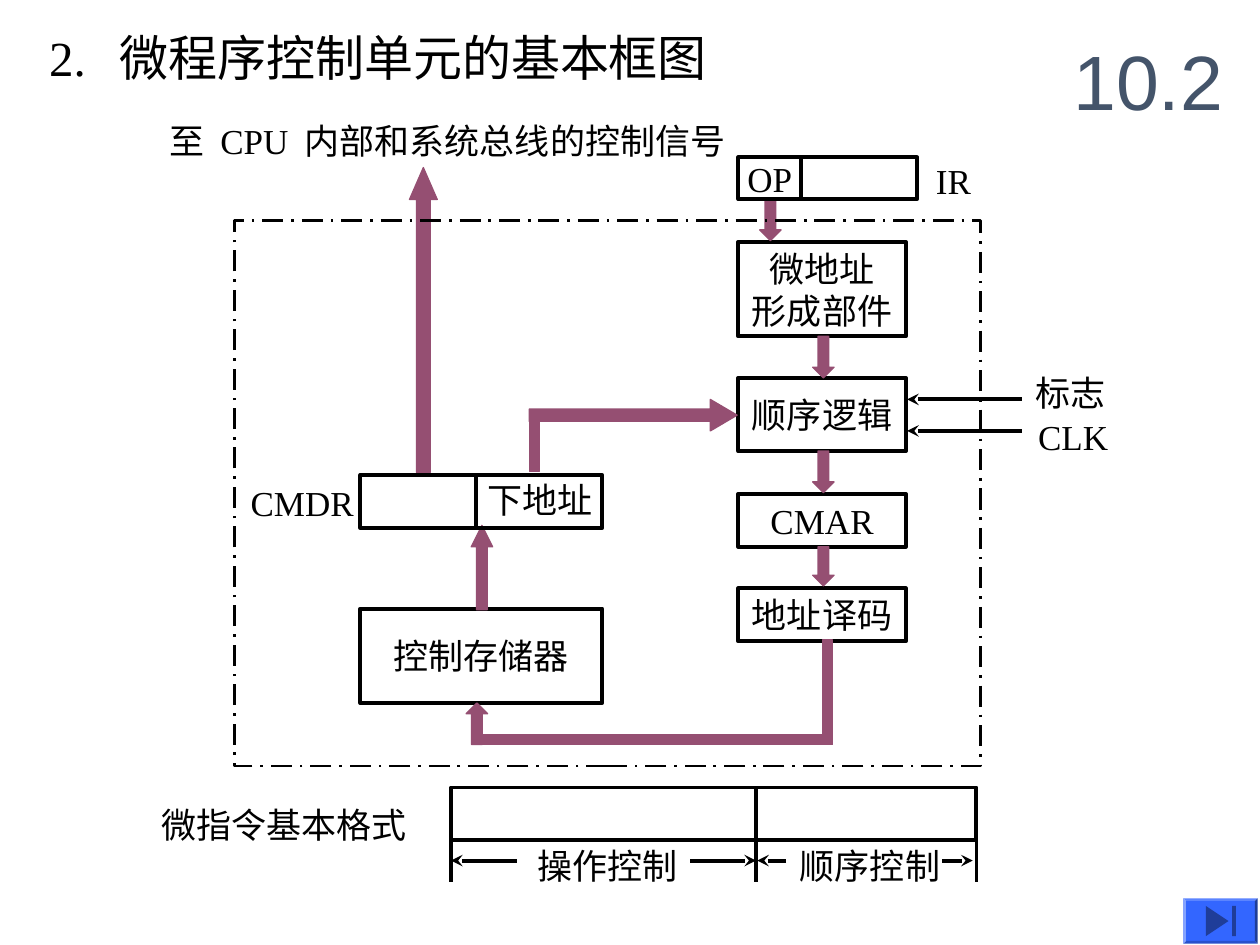
from lxml import etree
from pptx import Presentation
from pptx import util as u
from pptx.dml.color import RGBColor
from pptx.enum import dml, shapes, text
from pptx.oxml.ns import qn

BLACK, PLUM, SLATE = "000000", "954F72", "44546A"
BUTTON_BLUE, ICON_BLUE = "3366FF", "1F3D99"
SERIF = "Times New Roman"
RECT = shapes.MSO_SHAPE.RECTANGLE
DOWN, UP, RIGHT = (shapes.MSO_SHAPE.DOWN_ARROW, shapes.MSO_SHAPE.UP_ARROW,
                   shapes.MSO_SHAPE.RIGHT_ARROW)
LEFT_ALIGN, CENTER = text.PP_ALIGN.LEFT, text.PP_ALIGN.CENTER
TOP, MIDDLE = text.MSO_ANCHOR.TOP, text.MSO_ANCHOR.MIDDLE


def color(hex_string):
    return RGBColor.from_string(hex_string)


def inches(*lengths):
    return [u.Inches(length) for length in lengths]


def write(shape, lines, size=20, font=SERIF, ink=BLACK, align=LEFT_ALIGN,
          anchor=TOP, wrap=False, tabs=()):
    """Fill a shape with one paragraph per line; tabs are stops in inches."""
    frame = shape.text_frame
    frame.auto_size = text.MSO_AUTO_SIZE.NONE
    frame.word_wrap = wrap
    frame.vertical_anchor = anchor
    for index, line in enumerate(lines):
        paragraph = frame.add_paragraph() if index else frame.paragraphs[0]
        paragraph.alignment = align
        if tabs:
            stops = etree.SubElement(paragraph._p.get_or_add_pPr(), qn("a:tabLst"))
            for stop in tabs:
                etree.SubElement(stops, qn("a:tab"), pos=str(u.Inches(stop)), algn="l")
        run = paragraph.add_run()
        run.text = line
        run.font.size = u.Pt(size)
        run.font.name = font
        run.font.color.rgb = color(ink)


def add_title(slide, content, at, tabs):
    title = slide.shapes.title
    title.left, title.top, title.width, title.height = inches(*at)
    write(title, [content], size=28, tabs=tabs)


def add_label(slide, content, at, **style):
    write(slide.shapes.add_textbox(*inches(*at)), [content], **style)


def add_box(slide, at, *lines, line_width=2.25, dash=None):
    """Draw an unfilled outlined box with optional centred lines of text."""
    box = slide.shapes.add_shape(RECT, *inches(*at))
    box.shadow.inherit = False
    box.fill.background()
    box.line.color.rgb = color(BLACK)
    box.line.width = u.Pt(line_width)
    if dash:
        box.line.dash_style = dash
    write(box, lines, align=CENTER, anchor=MIDDLE)


def add_solid(slide, preset, at, adjustments=(), fill=PLUM, line=PLUM):
    solid = slide.shapes.add_shape(preset, *inches(*at))
    solid.shadow.inherit = False
    for index, value in enumerate(adjustments):
        solid.adjustments[index] = value
    solid.fill.solid()
    solid.fill.fore_color.rgb = color(fill)
    if line:
        solid.line.color.rgb = color(line)
        solid.line.width = u.Pt(0.75)
    else:
        solid.line.fill.background()


def add_line(slide, start, end, arrow=False):
    connector = slide.shapes.add_connector(
        shapes.MSO_CONNECTOR.STRAIGHT, *inches(*start, *end))
    connector.line.color.rgb = color(BLACK)
    connector.line.width = u.Pt(2.25)
    if arrow:
        etree.SubElement(connector.line._get_or_add_ln(), qn("a:tailEnd"), type="stealth")
    etree.SubElement(connector._element.spPr, qn("a:effectLst"))


def add_end_button(slide):
    add_solid(slide, shapes.MSO_SHAPE.BEVEL, (9.39, 7.13, 0.59, 0.36), [0.06],
              BUTTON_BLUE, None)
    builder = slide.shapes.build_freeform(*inches(9.57, 7.19))
    builder.add_line_segments([inches(9.75, 7.31), inches(9.57, 7.43)], close=True)
    triangle = builder.convert_to_shape()
    triangle.shadow.inherit = False
    triangle.fill.solid()
    triangle.fill.fore_color.rgb = color(ICON_BLUE)
    triangle.line.fill.background()
    add_solid(slide, RECT, (9.78, 7.19, 0.03, 0.24), fill=ICON_BLUE, line=None)


def add_address_path(slide):
    left, width = 5.86, 1.33
    for top, height, lines in [
        (1.92, 0.75, ["微地址", "形成部件"]),
        (3, 0.58, ["顺序逻辑"]),
        (3.92, 0.42, ["CMAR"]),
        (4.67, 0.42, ["地址译码"]),
    ]:
        add_box(slide, (left, top, width, height), *lines)
    for x, top, height in [(6.03, 1.58, 0.33), (6.45, 2.67, 0.33),
                           (6.45, 3.58, 0.33), (6.45, 4.34, 0.31)]:
        add_solid(slide, DOWN, (x, top, 0.17, height), [0.5, 0.5])


def add_control_store(slide):
    add_box(slide, (2.86, 4.83, 1.92, 0.75), "控制存储器")
    add_solid(slide, UP, (3.74, 4.17, 0.17, 0.67), [0.5, 1])
    add_solid(slide, RIGHT, (4.2, 3.17, 1.65, 0.25), [0.39, 0.85])
    add_solid(slide, RECT, (4.2, 3.26, 0.08, 0.48))
    add_solid(slide, RECT, (6.53, 5.08, 0.08, 0.83))
    add_solid(slide, UP, (3.7, 5.58, 0.17, 0.33), [0.5, 0.5])
    add_solid(slide, RECT, (3.78, 5.83, 2.75, 0.08))
    add_solid(slide, UP, (3.25, 1.33, 0.22, 2.42), [0.5, 1.15])


def add_registers(slide):
    add_label(slide, "下地址", (3.77, 3.75, 1.03, 0.44))
    add_line(slide, (3.78, 3.77), (3.78, 4.18))
    add_box(slide, (2.86, 3.77, 1.92, 0.42))
    add_label(slide, "CMDR", (1.89, 3.77, 1.02, 0.44))
    add_label(slide, "至\tCPU\t内部和系统总线的控制信号", (1.25, 0.9, 5, 0.44),
              tabs=(0.4, 1.07))
    add_box(slide, (5.86, 1.25, 0.5, 0.33), "OP")
    add_box(slide, (6.36, 1.25, 0.92, 0.33))
    add_label(slide, "IR", (7.33, 1.22, 0.83, 0.44), wrap=True)


def add_inputs(slide):
    for y in (3.17, 3.42):
        add_line(slide, (8.11, y), (7.2, y), arrow=True)
    add_label(slide, "标志", (8.12, 2.9, 0.75, 0.44))
    add_label(slide, "CLK", (8.14, 3.25, 0.75, 0.44))


def add_instruction_format(slide):
    edges = (3.58, 6, 7.75)
    for left, right in zip(edges, edges[1:]):
        add_box(slide, (left, 6.25, right - left, 0.42))
    for x in edges:
        add_line(slide, (x, 6.58), (x, 7))
    for start, end in [(4.1, 3.58), (5.48, 6), (6.24, 6.01), (7.48, 7.72)]:
        add_line(slide, (start, 6.83), (end, 6.83), arrow=True)
    add_label(slide, "操作控制", (4.17, 6.65, 1.31, 0.44))
    add_label(slide, "顺序控制", (6.25, 6.65, 1.31, 0.44))
    add_label(slide, "微指令基本格式", (1.18, 6.33, 2.15, 0.44))


def main():
    presentation = Presentation()
    presentation.slide_width, presentation.slide_height = inches(10, 7.5)
    slide = presentation.slides.add_slide(presentation.slide_layouts[5])
    add_title(slide, "2.\t微程序控制单元的基本框图", (0.29, 0.17, 5.44, 0.57), (0.56,))
    add_address_path(slide)
    add_control_store(slide)
    add_box(slide, (1.86, 1.75, 5.92, 4.33), line_width=1.5,
            dash=dml.MSO_LINE.LONG_DASH_DOT)
    add_inputs(slide)
    add_registers(slide)
    add_instruction_format(slide)
    add_label(slide, "10.2", (8.42, 0.17, 1.58, 0.92), size=44, font="Arial",
              ink=SLATE, anchor=MIDDLE, wrap=True)
    add_end_button(slide)
    presentation.save("out.pptx")


if __name__ == "__main__":
    main()
